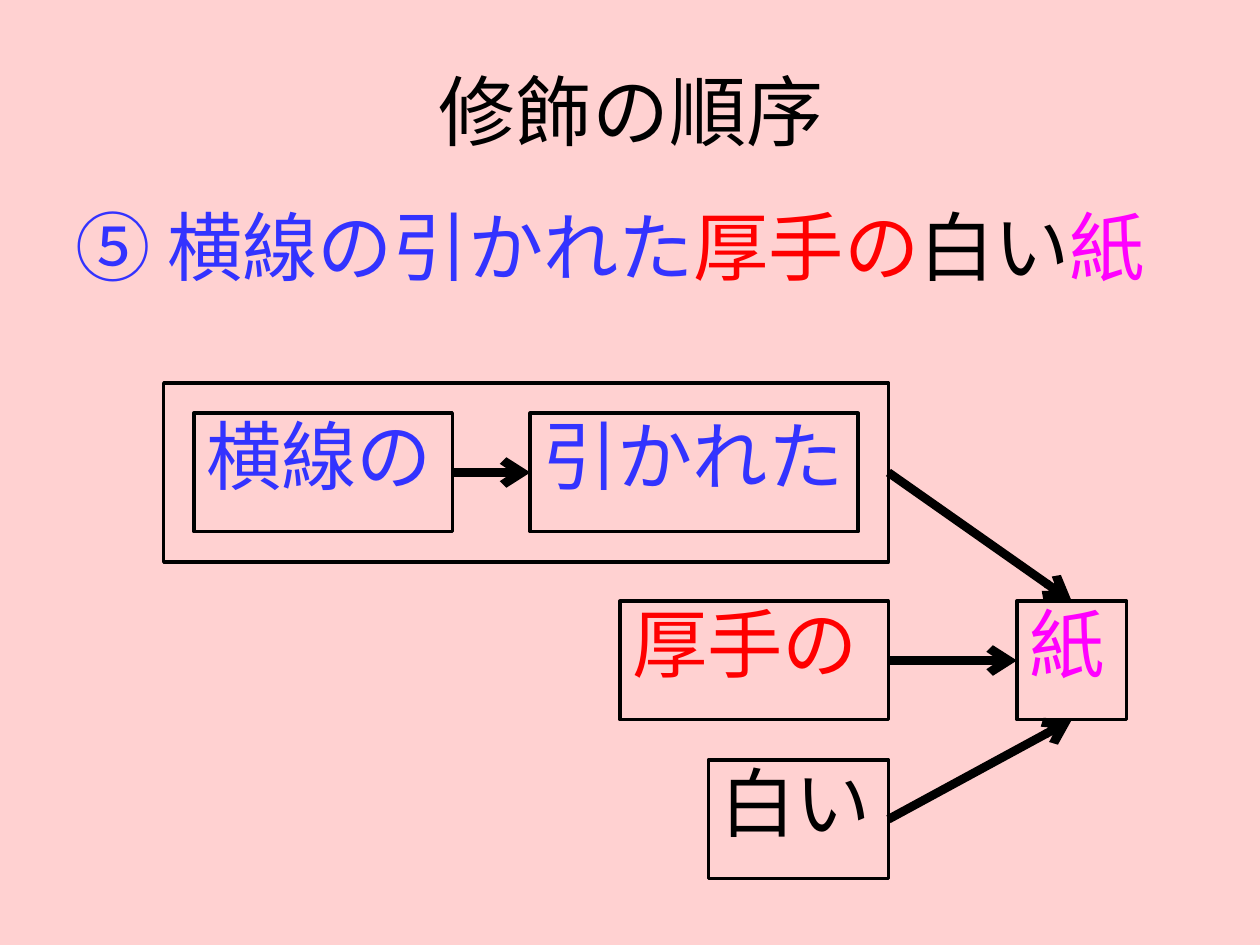
import pptx
import pptx.util
import pptx.dml.color
import pptx.enum.shapes
import pptx.enum.text
import pptx.oxml.ns
from lxml import etree

Cm, Pt = pptx.util.Cm, pptx.util.Pt
RGB = pptx.dml.color.RGBColor
ALIGN = pptx.enum.text.PP_ALIGN
ANCHOR = pptx.enum.text.MSO_ANCHOR
qn = pptx.oxml.ns.qn

PINK = RGB(0xFF, 0xD1, 0xD1)
BLACK = RGB(0, 0, 0)
BLUE = RGB(0x33, 0x33, 0xFF)
RED = RGB(0xFF, 0, 0)
MAGENTA = RGB(0xFF, 0, 0xFF)
CJK = "Noto Sans CJK JP"

# Content
TITLE = [("修飾の順序", BLACK)]
PHRASE = [("⑤ 横線の引かれた", BLUE), ("厚手の", RED), ("白い", BLACK), ("紙", MAGENTA)]

# Boxes: text, colour, left, row, width (cm)
ROWS = [8.33, 12.12, 15.32]
TALL = 2.39
PAD = 0.61
EDGE = 17.91
BOXES = [
    ("横線の", BLUE, 3.91, 0, 5.21),
    ("引かれた", BLUE, 10.69, 0, 6.61),
    ("厚手の", RED, 12.5, 1, 5.41),
    ("白い", BLACK, 14.28, 2, 3.63),
    ("紙", MAGENTA, 20.5, 1, 2.21),
]

# Arrows: from box and side, to box and side
TOP, LEFT, BOTTOM, RIGHT = range(4)
ARROWS = [
    ("横線の", RIGHT, "引かれた", LEFT),
    ("group", RIGHT, "紙", TOP),
    ("厚手の", RIGHT, "紙", LEFT),
    ("白い", RIGHT, "紙", BOTTOM),
]

BODY = {"size": Pt(43), "name": CJK}
HEAD = {"size": Pt(44), "name": "Calibri"}


def write(shape, runs, look, anchor=ANCHOR.TOP, align=ALIGN.LEFT, hang=True):
    frame = shape.text_frame
    frame.word_wrap = True
    frame.vertical_anchor = anchor
    para = frame.paragraphs[0]
    para.alignment = align
    para.line_spacing = 0.9
    if hang:
        props = para._p.get_or_add_pPr()
        props.set("marL", str(Cm(2.06)))
        props.set("indent", str(-Cm(2.06)))
    for text, color in runs:
        run = para.add_run()
        run.text = text
        for key, value in look.items():
            setattr(run.font, key, value)
        run.font.color.rgb = color
        east = etree.SubElement(run.font._element, qn("a:ea"))
        east.set("typeface", CJK)


def frame_box(shapes, left, top, width, height):
    box = shapes.add_shape(
        pptx.enum.shapes.MSO_SHAPE.RECTANGLE, Cm(left), Cm(top), Cm(width), Cm(height)
    )
    box.shadow.inherit = False
    box.fill.background()
    box.line.color.rgb = BLACK
    box.line.width = Pt(2)
    return box


def arrow(shapes, start, side, end, goal):
    line = shapes.add_connector(pptx.enum.shapes.MSO_CONNECTOR.STRAIGHT, 0, 0, 0, 0)
    line.begin_connect(start, side)
    line.end_connect(end, goal)
    line.line.color.rgb = BLACK
    line.line.width = Pt(5)
    tail = etree.SubElement(line.line._get_or_add_ln(), qn("a:tailEnd"))
    tail.set("type", "arrow")
    etree.SubElement(line._element.spPr, qn("a:effectLst"))


def main():
    deck = pptx.Presentation()
    deck.slide_width, deck.slide_height = Cm(25.4), Cm(19.05)
    slide = deck.slides.add_slide(deck.slide_layouts[6])
    slide.background.fill.solid()
    slide.background.fill.fore_color.rgb = PINK
    shapes = slide.shapes

    # Title and phrase
    head = shapes.add_textbox(Cm(1.3), Cm(0.74), Cm(22.86), Cm(3.18))
    write(head, TITLE, HEAD, ANCHOR.MIDDLE, ALIGN.CENTER, hang=False)
    phrase = shapes.add_textbox(Cm(1.27), Cm(4.11), Cm(22.86), Cm(2.39))
    write(phrase, PHRASE, BODY)

    # Word boxes, with a frame around the first row
    left = BOXES[0][2] - PAD
    parts = {
        "group": frame_box(shapes, left, ROWS[0] - PAD, EDGE - left, TALL + 2 * PAD)
    }
    for text, color, left, row, width in BOXES:
        parts[text] = frame_box(shapes, left, ROWS[row], width, TALL)
        write(parts[text], [(text, color)], BODY)

    # Arrows
    for start, side, end, goal in ARROWS:
        arrow(shapes, parts[start], side, parts[end], goal)

    deck.save("out.pptx")


if __name__ == "__main__":
    main()
